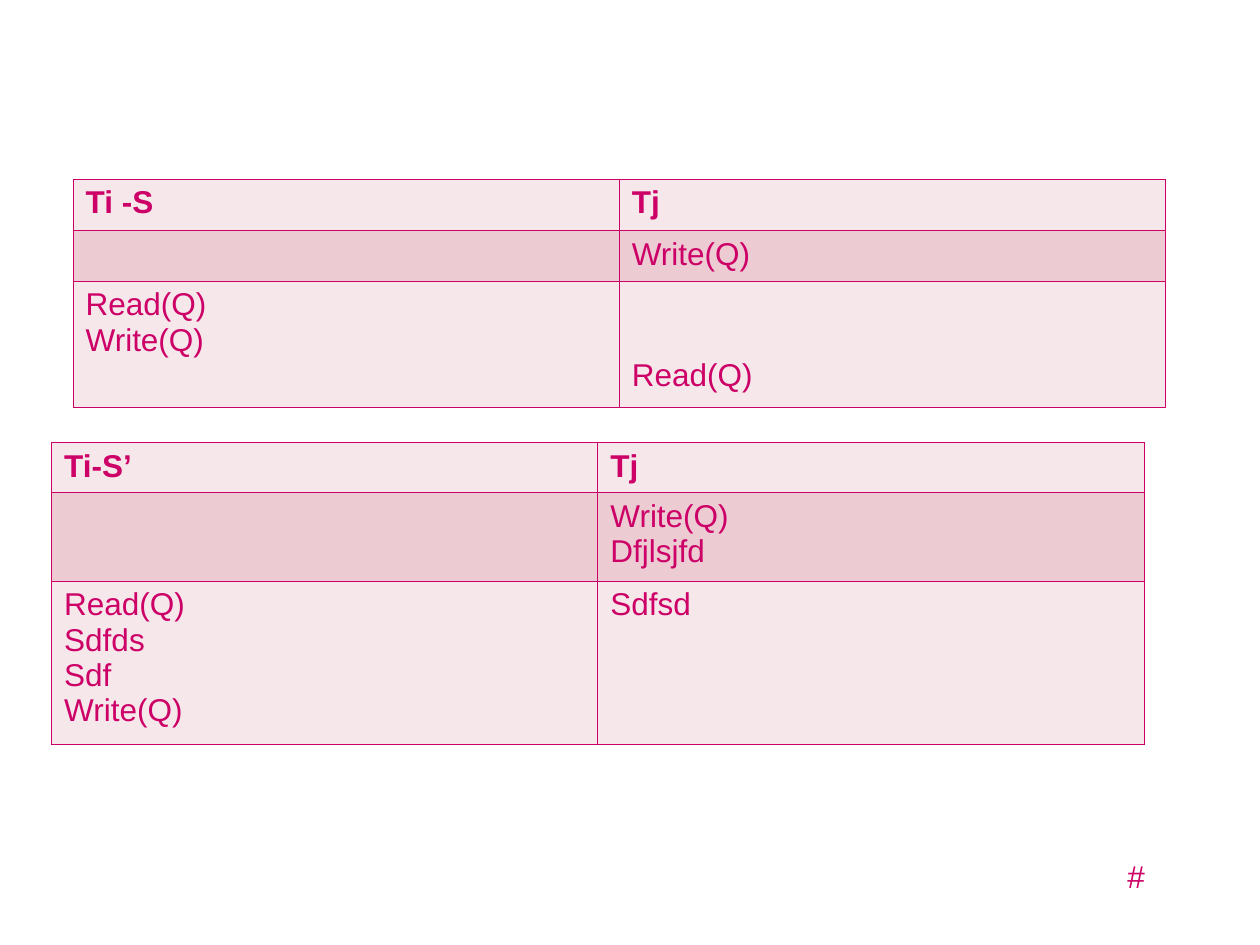
import pptx
import pptx.dml.color
import pptx.enum.text
import pptx.oxml
import pptx.oxml.ns
import pptx.util
from pptx.util import Inches

MAGENTA = pptx.dml.color.RGBColor(0xCC, 0x00, 0x66)
PALE_PINK = pptx.dml.color.RGBColor(0xF6, 0xE7, 0xEA)
PINK = pptx.dml.color.RGBColor(0xEC, 0xCB, 0xD3)
LINE_HEIGHT = 0.28
TABLE_WIDTH = 8.67


def add_lines(frame, lines, bold=False):
    """Write each line as a paragraph of one run."""
    for index, line in enumerate(lines):
        para = frame.paragraphs[0] if index == 0 else frame.add_paragraph()
        span = para.add_run()
        span.text = line
        span.font.name = "Arial"
        span.font.size = pptx.util.Pt(18)
        span.font.bold = bold
        span.font.color.rgb = MAGENTA


def add_borders(cell):
    """Draw a thin line on all four sides of a cell."""
    properties = cell._tc.get_or_add_tcPr()
    for index, side in enumerate(("lnL", "lnR", "lnT", "lnB")):
        line = pptx.oxml.parse_xml(
            f'<a:{side} {pptx.oxml.ns.nsdecls("a")} w="{pptx.util.Pt(0.45)}">'
            f'<a:solidFill><a:srgbClr val="{MAGENTA}"/></a:solidFill></a:{side}>'
        )
        properties.insert(index, line)


def add_schedule(page, left, top, heights, rows, lowered=None):
    """Add a two-transaction schedule; lowered maps a cell to the lines it drops."""
    lowered = lowered or {}
    table = page.shapes.add_table(
        len(rows), 2, Inches(left), Inches(top), Inches(TABLE_WIDTH), Inches(sum(heights))
    ).table
    for column in table.columns:
        column.width = Inches(TABLE_WIDTH / 2)
    for row, (height, texts) in enumerate(zip(heights, rows)):
        table.rows[row].height = Inches(height)
        for column, lines in enumerate(texts):
            cell = table.cell(row, column)
            cell.fill.solid()
            cell.fill.fore_color.rgb = PINK if row % 2 else PALE_PINK
            cell.margin_left = cell.margin_right = Inches(0.1)
            cell.margin_bottom = Inches(0.05)
            cell.margin_top = Inches(0.05 + LINE_HEIGHT * lowered.get((row, column), 0))
            add_borders(cell)
            add_lines(cell.text_frame, lines, bold=row == 0)


def add_page_number(page, left, top, width, height):
    """Add the page number mark."""
    box = page.shapes.add_textbox(Inches(left), Inches(top), Inches(width), Inches(height))
    box.text_frame.word_wrap = False
    box.text_frame.auto_size = pptx.enum.text.MSO_AUTO_SIZE.SHAPE_TO_FIT_TEXT
    add_lines(box.text_frame, ["#"])


def main():
    """Build the slide with its two schedules."""
    deck = pptx.Presentation()
    deck.slide_width, deck.slide_height = Inches(10), Inches(7.5)
    page = deck.slides.add_slide(deck.slide_layouts[6])
    add_page_number(page, 8.85, 6.75, 0.34, 0.4)
    add_schedule(
        page, 0.58, 1.42, (0.41, 0.4, 1),
        [
            (["Ti -S"], ["Tj"]),
            ([], ["Write(Q)"]),
            (["Read(Q)", "Write(Q)"], ["Read(Q)"]),
        ],
        lowered={(2, 1): 2},
    )
    add_schedule(
        page, 0.41, 3.51, (0.4, 0.7, 1.3),
        [
            (["Ti-S’"], ["Tj"]),
            ([], ["Write(Q)", "Dfjlsjfd"]),
            (["Read(Q)", "Sdfds", "Sdf", "Write(Q)"], ["Sdfsd"]),
        ],
    )
    deck.save("out.pptx")


if __name__ == "__main__":
    main()
